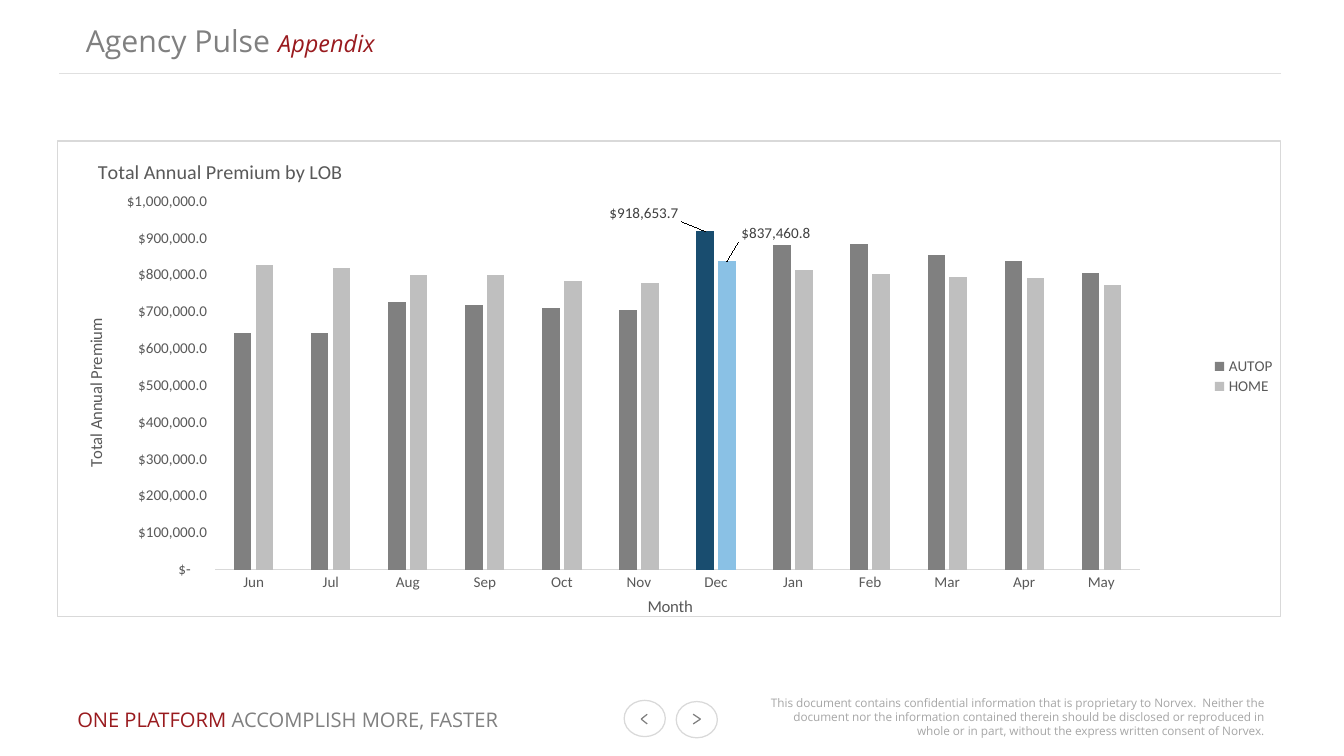
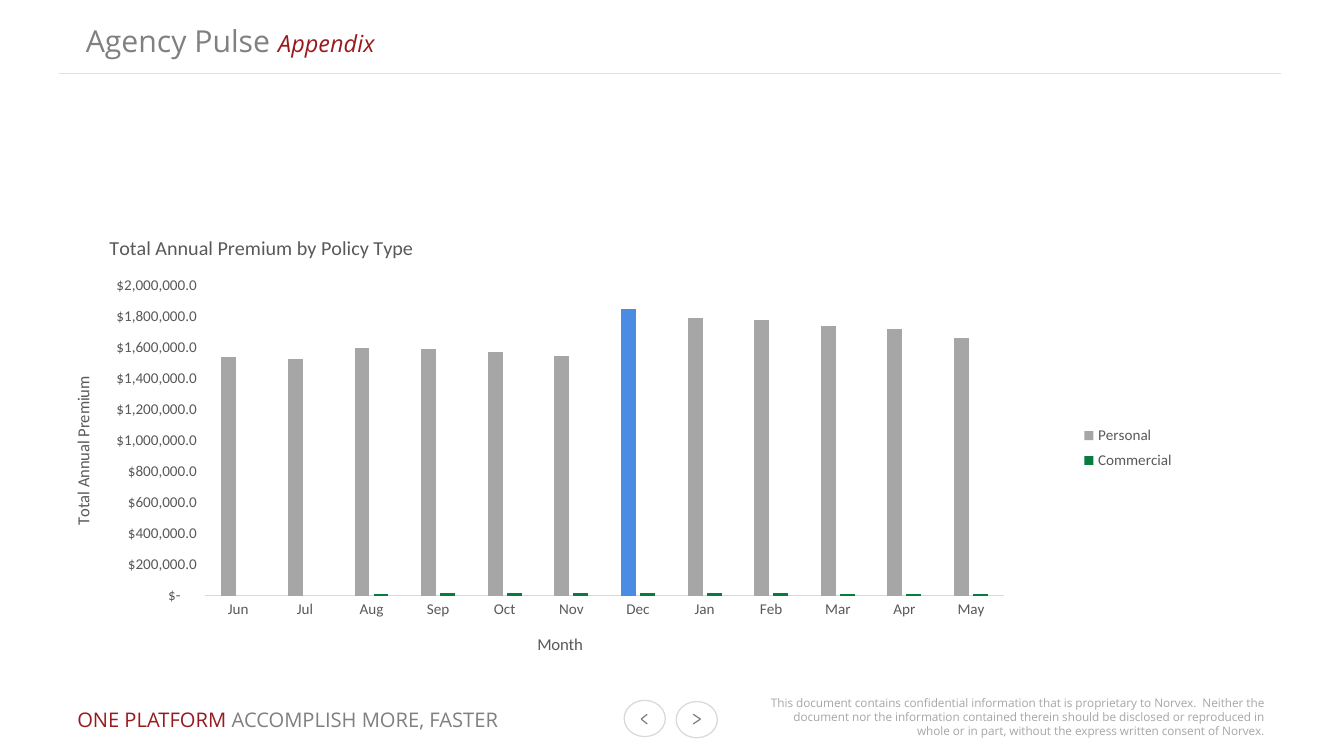
from lxml.etree import SubElement
from pptx import Presentation
from pptx.chart.data import CategoryChartData
from pptx.dml.color import RGBColor
from pptx.enum.chart import XL_CHART_TYPE, XL_LABEL_POSITION, XL_LEGEND_POSITION, XL_TICK_MARK
from pptx.enum.shapes import MSO_CONNECTOR, MSO_SHAPE
from pptx.enum.text import MSO_ANCHOR, PP_ALIGN
from pptx.oxml import parse_xml
from pptx.oxml.ns import nsdecls, qn
from pptx.util import Inches, Pt

COLORS = {
    "white": "FFFFFF", "rule": "E0E0E0", "outline": "D9D9D9", "gray": "808080",
    "red": "991A1E", "notice": "A6A6A6", "chart_text": "595959", "label": "404040",
    "silver": "BFBFBF", "navy": "194D6F", "sky": "8AC1E5", "blue": "4A8CE4",
    "green": "087C3E",
}
TEXT_FONT = "Open Sans"
CHART_FONT = "Calibri"
MONEY = '_("$"* #,##0.0_);_("$"* \\(#,##0.0\\);_("$"* "-"??_);_(@_)'
MONTHS = ["Jun", "Jul", "Aug", "Sep", "Oct", "Nov", "Dec", "Jan", "Feb", "Mar", "Apr", "May"]
HIGHLIGHT = MONTHS.index("Dec")
NOTICE = (
    "This document contains confidential information that is proprietary to Norvex.  "
    "Neither the document nor the information contained therein should be disclosed or "
    "reproduced in whole or in part, without the express written consent of Norvex."
)
LEADER_LINES = (
    '<c:extLst %s><c:ext uri="{CE6537A1-D6FC-4f65-9D91-7224C49458BB}" '
    'xmlns:c15="http://schemas.microsoft.com/office/drawing/2012/chart">'
    '<c15:showLeaderLines val="1"/></c:ext></c:extLst>' % nsdecls("c")
)


def color(name):
    return RGBColor.from_string(COLORS[name])


def set_layout(element, index, x, y, width=None, height=None, inner=False, offset=False):
    for old in element.findall(qn("c:layout")):
        element.remove(old)
    settings = [("layoutTarget", "inner")] if inner else []
    if not offset:
        settings += [("xMode", "edge"), ("yMode", "edge")]
    settings += [("x", x), ("y", y)]
    if width:
        settings += [("w", width), ("h", height)]
    layout = parse_xml("<c:layout %s/>" % nsdecls("c"))
    manual = SubElement(layout, qn("c:manualLayout"))
    for tag, value in settings:
        SubElement(manual, qn("c:" + tag)).set("val", str(value))
    element.insert(index, layout)


class Deck:
    def __init__(self):
        self.presentation = Presentation()
        self.presentation.slide_width = Inches(11.11)
        self.presentation.slide_height = Inches(6.25)
        self.slide = None

    def add_slide(self):
        self.slide = self.presentation.slides.add_slide(self.presentation.slide_layouts[6])
        self.line(10.59, 0.61, 0.49, 0.61, "rule")
        self.text(0.54, 5.8, 5.05, 0.3, [("ONE PLATFORM ", 12, "red", False),
                                         ("ACCOMPLISH MORE, FASTER", 12, "gray", False)])
        self.arrow_button(5.16, 5.79, 5.3, 5.35)
        self.arrow_button(5.59, 5.8, 5.79, 5.73)
        self.text(6.19, 5.7, 4.36, 0.45, [(NOTICE, 7, "notice", False)],
                  anchor=MSO_ANCHOR.TOP, align=PP_ALIGN.RIGHT)
        self.text(0.71, 0.14, 8.03, 0.39, [("Agency Pulse ", 18, "gray", False),
                                          ("Appendix", 14, "red", True)], inset=0)

    def line(self, x1, y1, x2, y2, color_name):
        connector = self.slide.shapes.add_connector(
            MSO_CONNECTOR.STRAIGHT, Inches(x1), Inches(y1), Inches(x2), Inches(y2))
        connector.line.color.rgb = color(color_name)
        connector.line.width = Pt(0.75)
        SubElement(connector._element.spPr, qn("a:effectLst"))

    def arrow_button(self, left, top, tip, tail):
        circle = self.slide.shapes.add_shape(
            MSO_SHAPE.OVAL, Inches(left), Inches(top), Inches(0.34), Inches(0.3))
        circle.shadow.inherit = False
        circle.fill.solid()
        circle.fill.fore_color.rgb = color("white")
        circle.line.color.rgb = color("outline")
        circle.line.width = Pt(0.75)
        for tail_y in (5.905, 5.985):
            self.line(tip, 5.945, tail, tail_y, "gray")

    def text(self, left, top, width, height, runs, anchor=MSO_ANCHOR.MIDDLE,
             align=PP_ALIGN.LEFT, inset=None):
        box = self.slide.shapes.add_textbox(
            Inches(left), Inches(top), Inches(width), Inches(height))
        frame = box.text_frame
        frame.word_wrap = True
        frame.vertical_anchor = anchor
        if inset is not None:
            frame.margin_left = frame.margin_right = Inches(inset)
            frame.margin_top = frame.margin_bottom = Inches(inset)
        paragraph = frame.paragraphs[0]
        paragraph.alignment = align
        for content, size, color_name, italic in runs:
            run = paragraph.add_run()
            run.text = content
            self.style_font(run.font, size, color_name, TEXT_FONT)
            run.font.italic = italic

    def style_font(self, font, size, color_name, name=CHART_FONT):
        font.name = name
        font.size = Pt(size)
        font.bold = False
        font.color.rgb = color(color_name)

    def chart_title(self, title, content, size, position):
        paragraph = title.text_frame.paragraphs[0]
        run = paragraph.add_run()
        run.text = content
        self.style_font(run.font, size, "chart_text")
        set_layout(title._element, 1, *position)

    def style_axis(self, axis, content, position):
        axis.has_major_gridlines = False
        axis.major_tick_mark = axis.minor_tick_mark = XL_TICK_MARK.NONE
        self.style_font(axis.tick_labels.font, 9, "chart_text")
        self.chart_title(axis.axis_title, content, 10, position)

    def column_chart(self, top, height, title, series, maximum, unit, places, border=False):
        data = CategoryChartData(number_format=MONEY)
        data.categories = MONTHS
        for name, values, *_ in series:
            data.add_series(name, values)
        chart = self.slide.shapes.add_chart(
            XL_CHART_TYPE.COLUMN_CLUSTERED, Inches(0.47), Inches(top),
            Inches(10.12), Inches(height), data).chart
        self.style_font(chart.font, 10, "chart_text")
        self.chart_title(chart.chart_title, title, 12, places["title"])

        category_axis, value_axis = chart.category_axis, chart.value_axis
        self.style_axis(category_axis, "Month", places["category"])
        category_axis.format.line.color.rgb = color("outline")
        category_axis.format.line.width = Pt(0.75)
        self.style_axis(value_axis, "Total Annual Premium", places["value"])
        value_axis.axis_title.text_frame._txBody.bodyPr.set("rot", "-5400000")
        value_axis.format.line.fill.background()
        value_axis.minimum_scale = 0
        value_axis.maximum_scale = maximum
        value_axis.major_unit = unit
        value_axis.tick_labels.number_format = MONEY
        value_axis.tick_labels.number_format_is_linked = False

        chart.has_legend = True
        chart.legend.position = XL_LEGEND_POSITION.RIGHT
        chart.legend.include_in_layout = False
        self.style_font(chart.legend.font, 9, "chart_text")
        set_layout(chart.legend._element, 1, *places["legend"])

        plot = chart.plots[0]
        plot.gap_width = 219
        plot.overlap = -27
        plot.vary_by_categories = False
        for columns, (_, _, fill, accent, label_offset) in zip(plot.series, series):
            self.fill_columns(columns, fill)
            if accent:
                self.fill_columns(columns.points[HIGHLIGHT], accent)
            if label_offset:
                self.callout(columns, label_offset)

        chart_element = chart._chartSpace.find(qn("c:chart"))
        set_layout(chart_element.find(qn("c:plotArea")), 0, *places["plot"], inner=True)
        outline = ('<a:solidFill><a:srgbClr val="%s"/></a:solidFill>' % COLORS["outline"]
                   if border else "<a:noFill/>")
        chart_element.addnext(parse_xml(
            '<c:spPr %s><a:noFill/><a:ln w="9525">%s</a:ln></c:spPr>'
            % (nsdecls("c", "a"), outline)))

    def fill_columns(self, columns, color_name):
        columns.format.fill.solid()
        columns.format.fill.fore_color.rgb = color(color_name)

    def callout(self, columns, offset):
        columns.data_labels.show_value = False
        label = columns.points[HIGHLIGHT].data_label
        self.style_font(label.font, 9, "label")
        label.position = XL_LABEL_POSITION.OUTSIDE_END
        labels = columns.data_labels._element
        set_layout(labels.find(qn("c:dLbl")), 1, *offset, offset=True)
        labels.append(parse_xml(LEADER_LINES))


def main():
    deck = Deck()

    deck.add_slide()
    auto = [642363.6, 641197.2, 726992.3, 719350.9, 711173.0, 703916.1,
            918653.7, 880571.1, 884107.3, 853138.7, 837359.9, 806368.0]
    home = [828203.3, 817599.3, 801000.3, 799022.3, 783429.3, 777819.9,
            837460.8, 812710.6, 802366.3, 795508.6, 792450.1, 771896.2]
    deck.column_chart(
        1.16, 3.98, "Total Annual Premium by LOB",
        [("AUTOP", auto, "gray", "navy", (-0.05, -0.01)),
         ("HOME", home, "silver", "sky", (0.04, -0.03))],
        1000000, 100000,
        {"title": (0.03, 0.03), "category": (0.48, 0.95), "value": (0.02, 0.37),
         "legend": (0.94, 0.45, 0.06, 0.09), "plot": (0.129, 0.127, 0.756, 0.774)},
        border=True)

    deck.add_slide()
    personal = [1540000, 1530000, 1600000, 1590000, 1570000, 1550000,
                1850000, 1790000, 1780000, 1740000, 1720000, 1660000]
    commercial = [None] * 2 + [10000] + [20000] * 6 + [10000] * 3
    deck.column_chart(
        1.76, 3.69, "Total Annual Premium by Policy Type",
        [("Personal", personal, "notice", "blue", None),
         ("Commercial", commercial, "green", None, None)],
        2000000, 200000,
        {"title": (0.04, 0.04), "category": (0.39, 0.95), "value": (0.01, 0.37),
         "legend": (0.83, 0.47, 0.09, 0.13), "plot": (0.121, 0.166, 0.653, 0.705)})

    deck.presentation.save("out.pptx")


if __name__ == "__main__":
    main()
